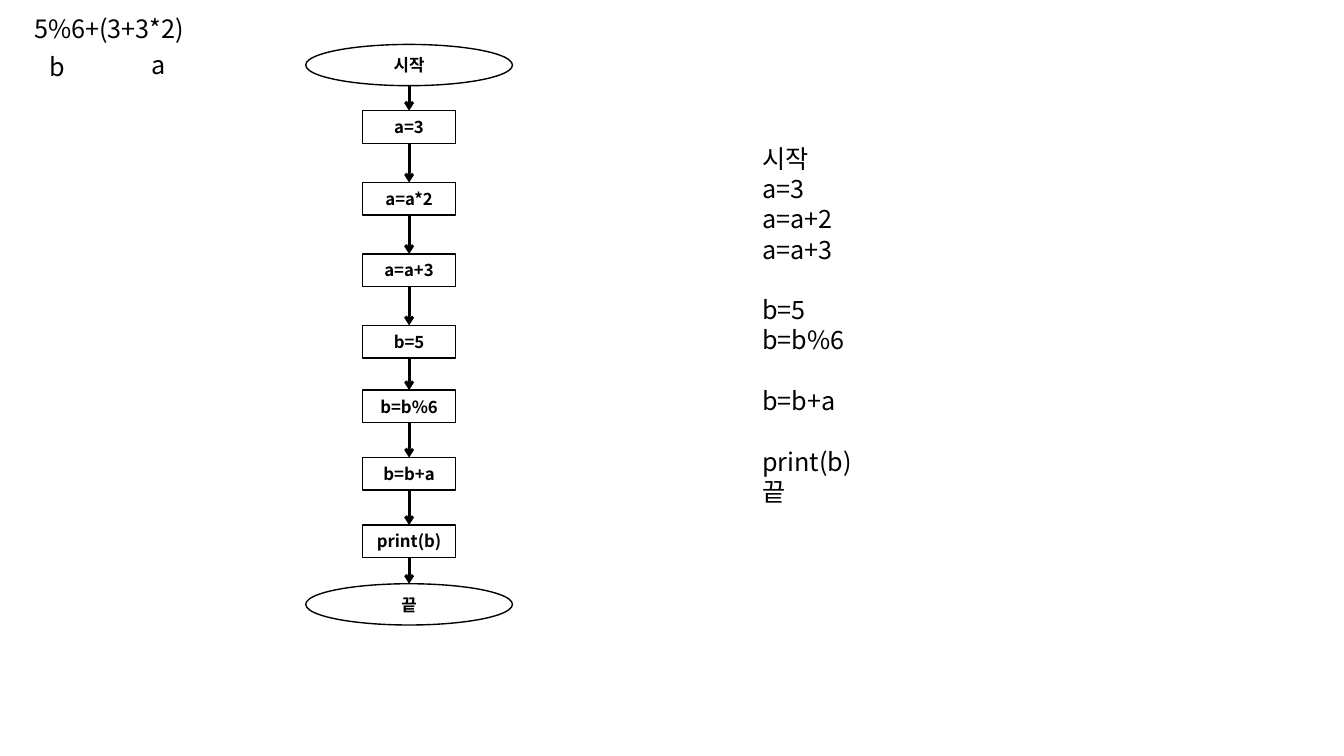
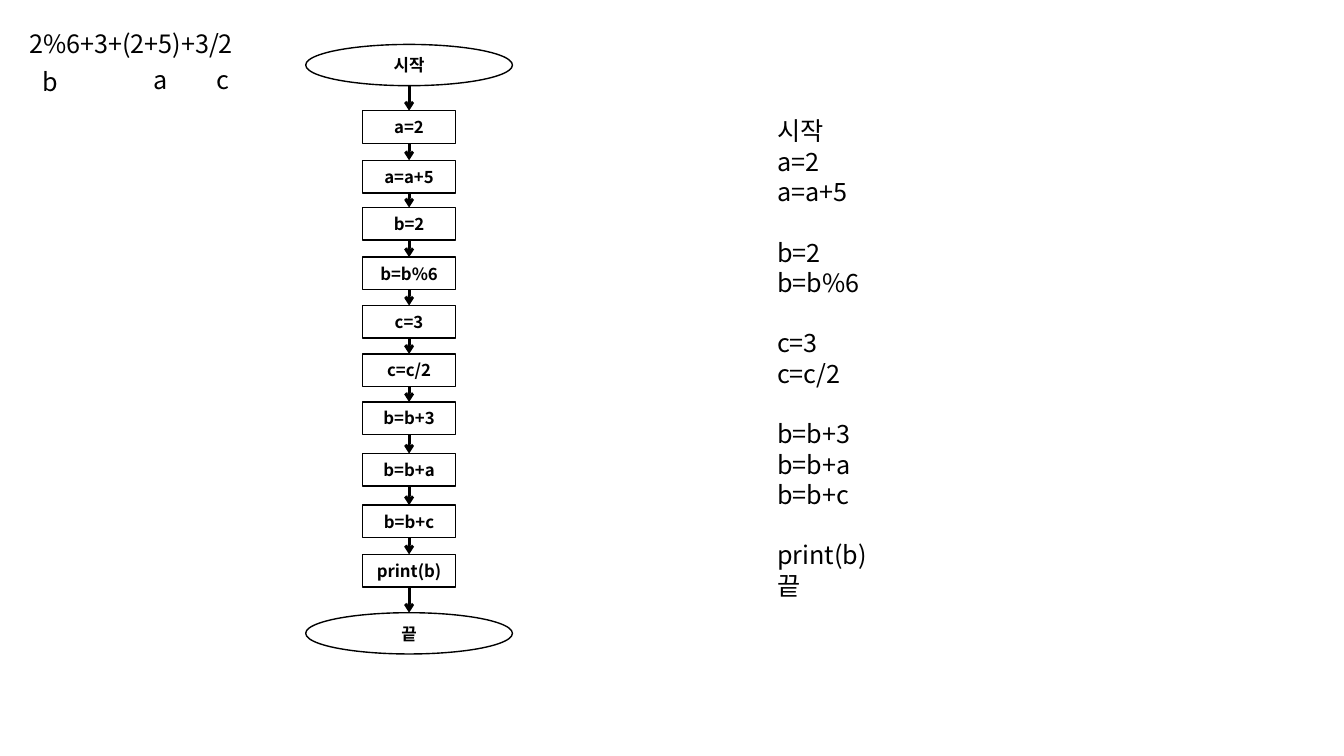
import dataclasses

import lxml.etree
import pptx
import pptx.dml.color
import pptx.enum.shapes
import pptx.enum.text
import pptx.oxml.ns
import pptx.util

Cm = pptx.util.Cm
Pt = pptx.util.Pt
qn = pptx.oxml.ns.qn
Shapes = pptx.enum.shapes.MSO_SHAPE
Align = pptx.enum.text.PP_ALIGN
Anchor = pptx.enum.text.MSO_ANCHOR


@dataclasses.dataclass(frozen=True)
class Theme:
    font: str = "Noto Sans CJK KR"
    ink: str = "000000"
    text_size: float = 18
    step_size: float = 12
    blank_line: float = 21.7
    outline: float = 1
    arrow: float = 2


THEME = Theme()
INK = pptx.dml.color.RGBColor.from_string(THEME.ink)

# Flowchart geometry in centimetres
FLOW_CENTER = 10.31
STEP_SIZE = (2.34, 0.82)
TERMINAL_SIZE = (5.21, 1.04)
LABEL_HEIGHT = 1.02


def write(paragraph, text, size=THEME.text_size, bold=False, align=Align.LEFT, before=0):
    """Put formatted text into a paragraph."""
    paragraph.alignment = align
    paragraph.space_before = Pt(before)
    run = paragraph.add_run()
    run.text = text
    run.font.size = Pt(size)
    run.font.bold = bold
    run.font.color.rgb = INK
    run.font.name = THEME.font
    properties = run.font._element
    lxml.etree.SubElement(properties, qn("a:ea")).set("typeface", THEME.font)


class FlowDeck:
    def __init__(self):
        self.presentation = pptx.Presentation()
        self.presentation.slide_width = Cm(33.87)
        self.presentation.slide_height = Cm(19.05)
        self.slide = None

    def add_slide(self):
        layout = self.presentation.slide_layouts[1]
        self.slide = self.presentation.slides.add_slide(layout)

    def place(self, shape, left, top, width, height):
        """Position a text shape and return its top-anchored frame."""
        shape.left, shape.top = Cm(left), Cm(top)
        shape.width, shape.height = Cm(width), Cm(height)
        frame = shape.text_frame
        frame.word_wrap = True
        frame.vertical_anchor = Anchor.TOP
        frame.auto_size = pptx.enum.text.MSO_AUTO_SIZE.SHAPE_TO_FIT_TEXT
        return frame

    def title(self, text, *box):
        frame = self.place(self.slide.shapes.title, *box)
        write(frame.paragraphs[0], text)

    def code(self, groups, *box):
        """List the program, with a gap before each group of lines."""
        frame = self.place(self.slide.placeholders[1], *box)
        for group_index, group in enumerate(groups):
            for line_index, line in enumerate(group):
                first = group_index == line_index == 0
                paragraph = frame.paragraphs[0] if first else frame.add_paragraph()
                gap = THEME.blank_line if group_index and not line_index else 0
                write(paragraph, line, before=gap)
                properties = paragraph._p.get_or_add_pPr()
                properties.set("marL", "0")
                properties.set("indent", "0")
                lxml.etree.SubElement(properties, qn("a:buNone"))

    def label(self, text, left, top, width):
        box = self.slide.shapes.add_textbox(0, 0, Cm(width), Cm(LABEL_HEIGHT))
        frame = self.place(box, left, top, width, LABEL_HEIGHT)
        write(frame.paragraphs[0], text)

    def node(self, kind, text, top, size):
        width, height = size
        shape = self.slide.shapes.add_shape(
            kind, Cm(FLOW_CENTER - width / 2), Cm(top), Cm(width), Cm(height))
        shape.shadow.inherit = False
        shape.fill.background()
        shape.line.color.rgb = INK
        shape.line.width = Pt(THEME.outline)
        frame = shape.text_frame
        frame.word_wrap = True
        frame.vertical_anchor = Anchor.MIDDLE
        write(frame.paragraphs[0], text, size=THEME.step_size, bold=True,
              align=Align.CENTER)

    def arrow(self, top, bottom):
        connector = self.slide.shapes.add_connector(
            pptx.enum.shapes.MSO_CONNECTOR.STRAIGHT,
            Cm(FLOW_CENTER), Cm(top), Cm(FLOW_CENTER), Cm(bottom))
        connector.line.color.rgb = INK
        connector.line.width = Pt(THEME.arrow)
        line = connector.line._get_or_add_ln()
        lxml.etree.SubElement(line, qn("a:tailEnd")).set("type", "arrow")
        lxml.etree.SubElement(connector._element.spPr, qn("a:effectLst"))

    def flowchart(self, steps):
        """Stack the steps; the first and last are terminals."""
        previous_bottom = None
        for index, (text, top) in enumerate(steps):
            terminal = index in (0, len(steps) - 1)
            size = TERMINAL_SIZE if terminal else STEP_SIZE
            kind = Shapes.OVAL if terminal else Shapes.FLOWCHART_PROCESS
            self.node(kind, text, top, size)
            if previous_bottom is not None:
                self.arrow(previous_bottom, top)
            previous_bottom = top + size[1]


deck = FlowDeck()

# Slide 1: expression with two variables
deck.add_slide()
deck.code([["시작", "a=3", "a=a+2", "a=a+3"], ["b=5", "b=b%6"], ["b=b+a"],
           ["print(b)", "끝"]], 18.95, 3.48, 9.93, 10.26)
deck.flowchart([
    ("시작", 1.12), ("a=3", 2.79), ("a=a*2", 4.6), ("a=a+3", 6.4), ("b=5", 8.2),
    ("b=b%6", 9.83), ("b=b+a", 11.53), ("print(b)", 13.23), ("끝", 14.71)])
deck.title("5%6+(3+3*2)", 0.61, 0.2, 5.21, 1.04)
deck.label("a", 3.58, 1.12, 1.24)
deck.label("b", 0.99, 1.17, 0.69)

# Slide 2: expression with three variables
deck.add_slide()
deck.code([["시작", "a=2", "a=a+5"], ["b=2", "b=b%6"], ["c=3", "c=c/2"],
           ["b=b+3", "b=b+a", "b=b+c"], ["print(b)", "끝"]],
          19.33, 2.79, 9.93, 12.57)
deck.flowchart([
    ("시작", 1.12), ("a=2", 2.79), ("a=a+5", 4.04), ("b=2", 5.23), ("b=b%6", 6.48),
    ("c=3", 7.7), ("c=c/2", 8.92), ("b=b+3", 10.13), ("b=b+a", 11.43),
    ("b=b+c", 12.73), ("print(b)", 13.97), ("끝", 15.44)])
deck.title("2%6+3+(2+5)+3/2", 0.48, 0.58, 6.45, 1.02)
deck.label("a", 3.61, 1.5, 1.24)
deck.label("b", 0.81, 1.55, 0.69)
deck.label("c", 5.21, 1.5, 1.07)

deck.presentation.save("out.pptx")
